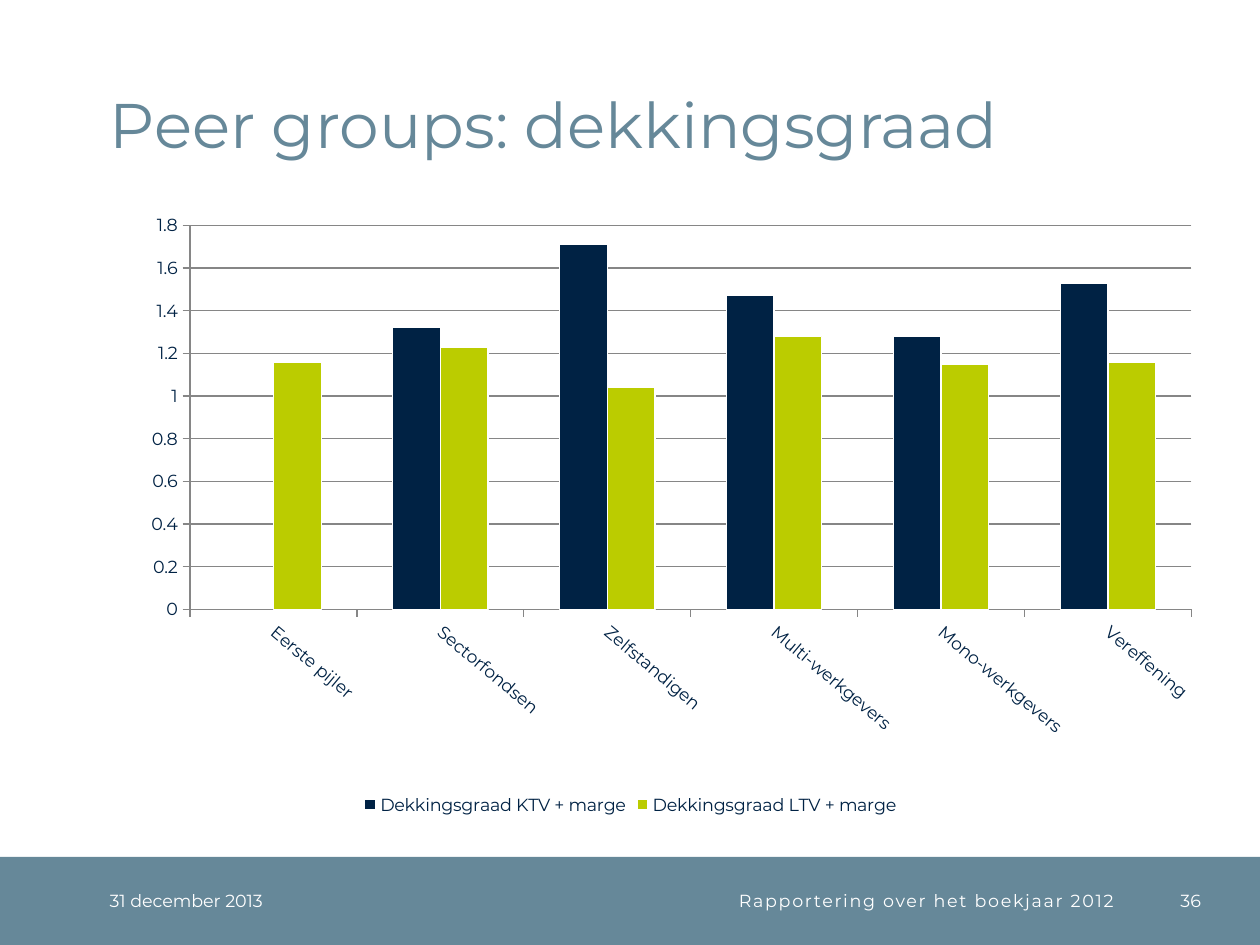
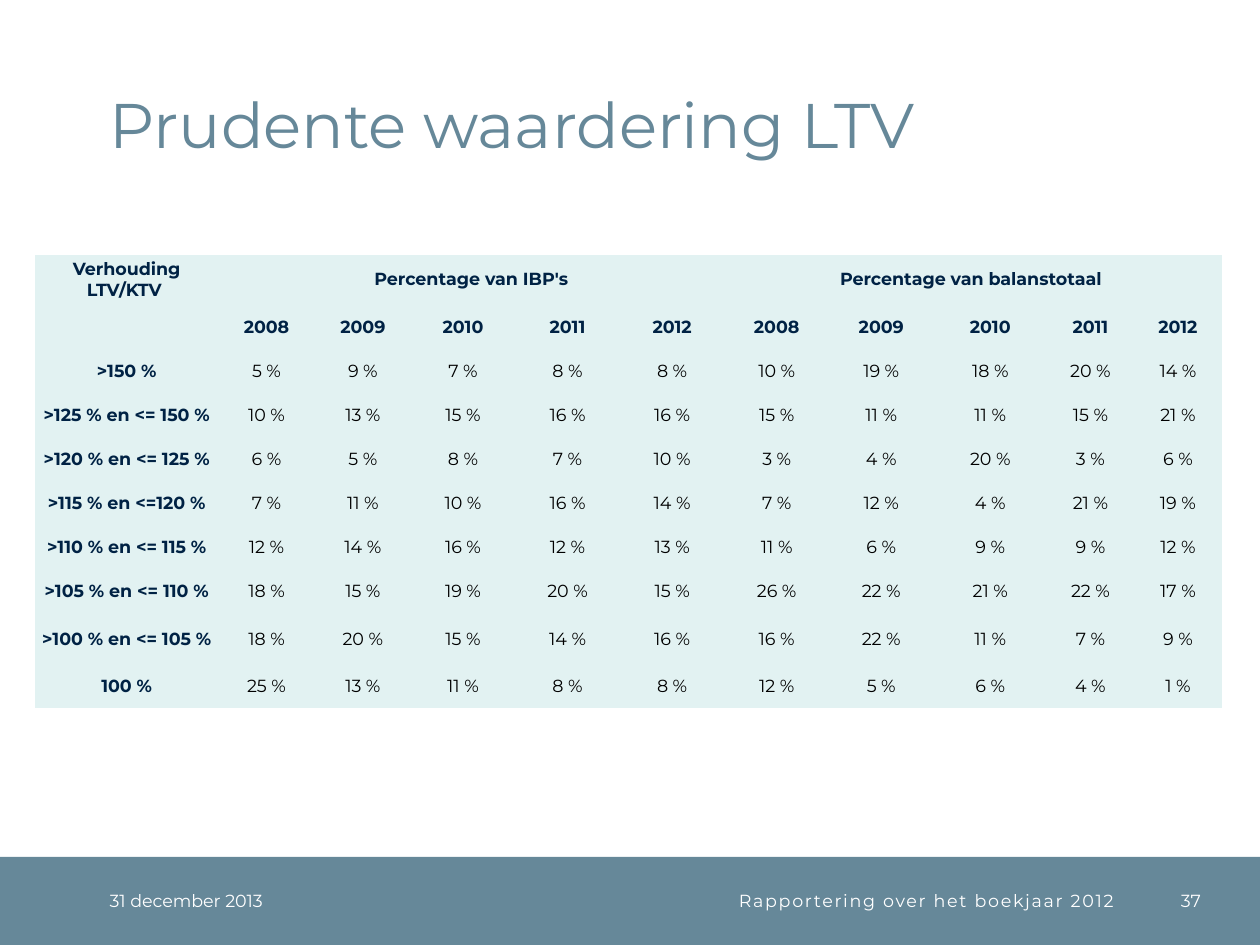
from lxml.etree import SubElement
from pptx import Presentation
from pptx.chart.data import CategoryChartData
from pptx.dml.color import RGBColor
from pptx.enum.chart import XL_CHART_TYPE, XL_LEGEND_POSITION, XL_TICK_MARK
from pptx.enum.shapes import MSO_SHAPE
from pptx.enum.text import MSO_ANCHOR, PP_ALIGN
from pptx.oxml.ns import qn
from pptx.util import Inches, Pt

FONT = "Montserrat"
SLATE, NAVY, LIME = "668899", "002244", "BBCC00"
WHITE, BLACK, GREY, PALE = "FFFFFF", "000000", "868686", "E2F2F2"
NO_STYLE = "{2D5ABB26-0587-4C30-8999-92F81FD0307C}"


def color(hex_text):
    return RGBColor.from_string(hex_text)


def write(frame, text, size, hex_text, align=PP_ALIGN.LEFT, bold=False):
    paragraph = frame.paragraphs[0]
    paragraph.alignment = align
    run = paragraph.add_run()
    run.text = text
    run.font.name = FONT
    run.font.size = Pt(size)
    run.font.bold = bold
    run.font.color.rgb = color(hex_text)
    return run


presentation = Presentation()
presentation.slide_width = Inches(10)
presentation.slide_height = Inches(7.5)

# Shared parts: title, band and footer texts
footer_texts = [
    ("31 december 2013", 0.87, 1.77, PP_ALIGN.LEFT, 0),
    ("Rapportering over het boekjaar 2012", 2.64, 6.2, PP_ALIGN.RIGHT, 100),
]
slides = []
for number, title_text in [(36, "Peer groups: dekkingsgraad"), (37, "Prudente waardering LTV")]:
    slide = presentation.slides.add_slide(presentation.slide_layouts[5])
    slides.append(slide)

    title = slide.shapes.title
    title.left, title.top = Inches(0.87), Inches(0.2)
    title.width, title.height = Inches(8.63), Inches(1.08)
    frame = title.text_frame
    frame.margin_left = frame.margin_right = frame.margin_top = frame.margin_bottom = 0
    frame.vertical_anchor = MSO_ANCHOR.BOTTOM
    write(frame, title_text, 36, SLATE)
    frame.paragraphs[0].line_spacing = Pt(32)

    band = slide.shapes.add_shape(MSO_SHAPE.RECTANGLE, 0, Inches(6.8), Inches(10), Inches(0.7))
    band.shadow.inherit = False
    band.fill.solid()
    band.fill.fore_color.rgb = color(SLATE)
    band.line.fill.background()

    page_number = (str(number), 9.04, 0.49, PP_ALIGN.RIGHT, 0)
    for text, left, width, align, spacing in footer_texts + [page_number]:
        box = slide.shapes.add_textbox(Inches(left), Inches(6.8), Inches(width), Inches(0.7))
        frame = box.text_frame
        frame.word_wrap = True
        frame.margin_left = frame.margin_right = frame.margin_top = frame.margin_bottom = 0
        frame.vertical_anchor = MSO_ANCHOR.MIDDLE
        run = write(frame, text, 10, WHITE, align)
        if spacing:
            run.font._element.set("spc", str(spacing))

chart_slide, table_slide = slides

# Chart of coverage ratios per peer group
chart_data = CategoryChartData(number_format="General")
chart_data.categories = ["Eerste pijler", "Sectorfondsen", "Zelfstandigen",
                         "Multi-werkgevers", "Mono-werkgevers", "Vereffening"]
chart_data.add_series("Dekkingsgraad KTV + marge", [None, 1.32, 1.71, 1.47, 1.28, 1.53])
chart_data.add_series("Dekkingsgraad LTV + marge", [1.16, 1.23, 1.04, 1.28, 1.15, 1.16])
chart = chart_slide.shapes.add_chart(
    XL_CHART_TYPE.COLUMN_CLUSTERED, Inches(0.28), Inches(1.23), Inches(9.45), Inches(5.28), chart_data
).chart
chart.has_title = False
chart.font.name = FONT
chart.font.size = Pt(10)
chart.font.color.rgb = color(NAVY)
chart.has_legend = True
chart.legend.position = XL_LEGEND_POSITION.BOTTOM
chart.legend.include_in_layout = False

plot = chart.plots[0]
plot.gap_width = 150
plot.overlap = 0
plot.vary_by_categories = False
for series, fill in zip(plot.series, (NAVY, LIME)):
    series.format.fill.solid()
    series.format.fill.fore_color.rgb = color(fill)
    series.format.line.color.rgb = color(WHITE)
    series.format.line.width = Pt(0.75)

# Axes
value_axis, category_axis = chart.value_axis, chart.category_axis
value_axis.minimum_scale, value_axis.maximum_scale = 0, 1.8
value_axis.major_unit = 0.2
value_axis.has_major_gridlines = True
value_axis.tick_labels.number_format = "General"
value_axis.tick_labels.number_format_is_linked = False
for axis in (value_axis, category_axis):
    axis.major_tick_mark = XL_TICK_MARK.OUTSIDE
    axis.tick_labels.font.size = Pt(10)
for line in (value_axis.format.line, category_axis.format.line, value_axis.major_gridlines.format.line):
    line.color.rgb = color(GREY)
    line.width = Pt(0.75)
label_body = category_axis._element.find(qn("c:txPr")).find(qn("a:bodyPr"))
label_body.set("rot", str(40 * 60000))
label_body.set("vert", "horz")

# Fixed inner plot area
plot_area = chart._chartSpace.chart.plotArea
layout = plot_area.find(qn("c:layout"))
if layout is None:
    layout = SubElement(plot_area, qn("c:layout"))
    plot_area.insert(0, layout)
manual = SubElement(layout, qn("c:manualLayout"))
for tag, value in [("layoutTarget", "inner"), ("xMode", "edge"), ("yMode", "edge"),
                   ("x", 0.13), ("y", 0.106), ("w", 0.841), ("h", 0.577)]:
    SubElement(manual, qn("c:" + tag)).set("val", str(value))

# Table of shares per LTV/KTV ratio
column_widths = [1.45, 0.77, 0.76] + [0.83] * 5 + [0.9, 0.69, 0.7]
row_heights = [0.4] + [0.35] * 7 + [0.4, 0.35]
years = ["2008", "2009", "2010", "2011", "2012"]
shares = [
    (">150 %", [5, 9, 7, 8, 8, 10, 19, 18, 20, 14]),
    (">125 % en <= 150 %", [10, 13, 15, 16, 16, 15, 11, 11, 15, 21]),
    (">120 % en <= 125 %", [6, 5, 8, 7, 10, 3, 4, 20, 3, 6]),
    (">115 % en <=120 %", [7, 11, 10, 16, 14, 7, 12, 4, 21, 19]),
    (">110 % en <= 115 %", [12, 14, 16, 12, 13, 11, 6, 9, 9, 12]),
    (">105 % en <= 110 %", [18, 15, 19, 20, 15, 26, 22, 21, 22, 17]),
    (">100 % en <= 105 %", [18, 20, 15, 14, 16, 16, 22, 11, 7, 9]),
    ("100 %", [25, 13, 11, 8, 8, 12, 5, 6, 4, 1]),
]
group_row = ["Verhouding LTV/KTV ", "Percentage van IBP's"] + [""] * 4
group_row += ["Percentage van balanstotaal "] + [""] * 4
rows = [group_row, [""] + years * 2]
rows += [[label] + [f"{value} %" for value in values] for label, values in shares]

table = table_slide.shapes.add_table(
    len(rows), len(column_widths), Inches(0.28), Inches(2.02), Inches(9.45), Inches(3.62)
).table
table.first_row = table.horz_banding = False
table._tbl.tblPr.find(qn("a:tableStyleId")).text = NO_STYLE
for column, width in zip(table.columns, column_widths):
    column.width = Inches(width)
for row, height in zip(table.rows, row_heights):
    row.height = Inches(height)
for first in (1, 6):
    table.cell(0, first).merge(table.cell(0, first + 4))

for row_index, texts in enumerate(rows):
    for column_index, text in enumerate(texts):
        cell = table.cell(row_index, column_index)
        cell.margin_left = cell.margin_right = cell.margin_top = cell.margin_bottom = 0
        cell.vertical_anchor = MSO_ANCHOR.MIDDLE
        cell.fill.solid()
        cell.fill.fore_color.rgb = color(PALE)
        heading = row_index < 2 or column_index == 0
        if text:
            write(cell.text_frame, text, 10, NAVY if heading else BLACK, PP_ALIGN.CENTER, heading)

presentation.save("out.pptx")
